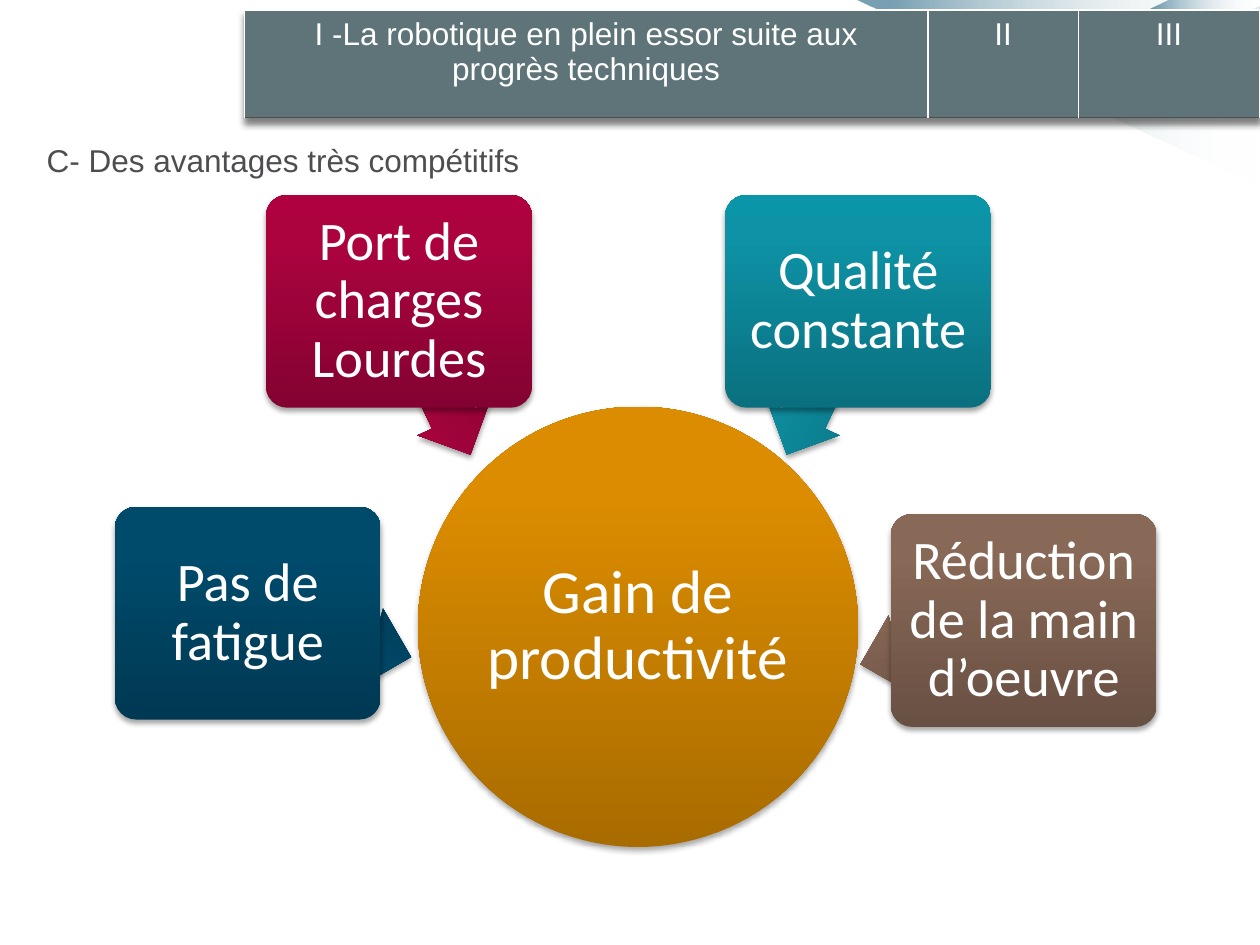
from math import cos, radians, sin

from lxml import etree
from pptx import Presentation
from pptx.dml.color import RGBColor
from pptx.enum.shapes import MSO_SHAPE
from pptx.enum.text import MSO_ANCHOR, PP_ALIGN
from pptx.oxml.ns import qn
from pptx.util import Pt

ROUNDED = MSO_SHAPE.ROUNDED_RECTANGLE
ARROW = MSO_SHAPE.LEFT_ARROW
OVAL = MSO_SHAPE.OVAL
TRIANGLE = MSO_SHAPE.ISOSCELES_TRIANGLE
CENTER = PP_ALIGN.CENTER
MIDDLE = MSO_ANCHOR.MIDDLE


def add_color(parent, color, opacity=100):
    node = etree.SubElement(parent, qn("a:srgbClr"), val=color)
    if opacity < 100:
        etree.SubElement(node, qn("a:alpha"), val=str(opacity * 1000))


def paint(shape, stops, angle, shadow=True):
    shape.fill.gradient()
    shape.fill.gradient_angle = angle
    shape.line.fill.background()
    shape.shadow.inherit = False
    properties = shape._element.spPr
    stop_list = properties.find(qn("a:gradFill")).find(qn("a:gsLst"))
    for old_stop in list(stop_list):
        stop_list.remove(old_stop)
    for position, color, opacity in stops:
        stop = etree.SubElement(stop_list, qn("a:gs"), pos=str(position * 1000))
        add_color(stop, color, opacity)
    if shadow:
        effects = properties.find(qn("a:effectLst"))
        outer = etree.SubElement(effects, qn("a:outerShdw"), blurRad=str(Pt(3.1)),
                                 dist=str(Pt(1.8)), dir="5400000", rotWithShape="0")
        add_color(outer, "000000", 35)


deck = Presentation()
deck.slide_width, deck.slide_height = Pt(720), Pt(540)
slide = deck.slides.add_slide(deck.slide_layouts[6])
shapes = slide.shapes

rays = [
    ([(720, 106), (489, 0), (720, 0)], 53),
    ([(720, 43), (648, 10), (669, 0), (720, 0)], 63),
]
for corners, opacity in rays:
    outline = shapes.build_freeform(*corners[0], scale=Pt(1))
    outline.add_line_segments(corners[1:], close=True)
    paint(outline.convert_to_shape(), [(1, "FFFFFF", 0), (91, "004D6F", opacity)], 180, False)

corner_ray = shapes.add_shape(TRIANGLE, Pt(669), Pt(0.7), Pt(49), Pt(54))
corner_ray.rotation = 270
paint(corner_ray, [(27, "FFFFFF", 0), (81, "004D6F", 48)], 225, False)

CARD_W, CARD_H = 152, 121.6
ARROW_W, ARROW_H = 96.6, 45.4

gain = shapes.add_shape(OVAL, Pt(238.8), Pt(232.4), Pt(251.6), Pt(251.6))
paint(gain, [(0, "A96C00", 100), (80, "DB8C00", 100), (100, "DC8D00", 100)], 90)
bubbles = [(gain, "Gain de productivité", 35)]

advantages = [
    ("Pas de fatigue", 65.6, 289.6, 195, ("003953", "004B6C", "004B6C")),
    ("Port de charges Lourdes", 152, 111.4, 245, ("840231", "AC033F", "AF003F")),
    ("Qualité constante", 414.4, 111.4, 295, ("0A707F", "0E92A5", "0B95A8")),
    ("Réduction de la main d’oeuvre", 509, 293.8, 345, ("685043", "886856", "896856")),
]
for label, left, top, rotation, colors in advantages:
    stops = [(position, color, 100) for position, color in zip((0, 80, 100), colors)]
    arrow_x = left + CARD_W / 2 - ARROW_W / 2 * cos(radians(rotation))
    arrow_y = top + CARD_H / 2 - ARROW_W / 2 * sin(radians(rotation))
    arrow = shapes.add_shape(ARROW, Pt(arrow_x - ARROW_W / 2), Pt(arrow_y - ARROW_H / 2),
                             Pt(ARROW_W), Pt(ARROW_H))
    arrow.adjustments[0], arrow.adjustments[1] = 0.6, 0.5
    arrow.rotation = rotation
    paint(arrow, stops, 90)
    card = shapes.add_shape(ROUNDED, Pt(left), Pt(top), Pt(CARD_W), Pt(CARD_H))
    card.adjustments[0] = 0.1
    paint(card, stops, 90)
    bubbles.append((card, label, 31))

for bubble, label, size in bubbles:
    frame = bubble.text_frame
    frame.text = label
    frame.word_wrap = True
    frame.vertical_anchor = MIDDLE
    frame.margin_left = frame.margin_right = Pt(2)
    frame.margin_top = frame.margin_bottom = Pt(2)
    paragraph = frame.paragraphs[0]
    paragraph.alignment = CENTER
    paragraph.line_spacing = 0.9
    font = paragraph.runs[0].font
    font.name, font.size = "Calibri", Pt(size)
    font.color.rgb = RGBColor.from_string("FFFFFF")

chapters = [
    ("I -La robotique en plein essor suite aux progrès techniques", 390.6),
    ("II", 86),
    ("III", 103.8),
]
outline_frame = shapes.add_table(1, len(chapters), Pt(139.6), Pt(5.8), Pt(580.4), Pt(61.4))
outline_table = outline_frame.table
for column, (chapter, width) in enumerate(chapters):
    outline_table.columns[column].width = Pt(width)
    cell = outline_table.cell(0, column)
    cell.text = chapter
    paragraph = cell.text_frame.paragraphs[0]
    paragraph.alignment = CENTER
    font = paragraph.runs[0].font
    font.name, font.size, font.bold = "Arial", Pt(18), False
    font.color.rgb = RGBColor.from_string("FFFFFF")
    borders = cell._tc.get_or_add_tcPr()
    for side, color in (("L", "FFFFFF"), ("R", "FFFFFF"), ("T", "FFFFFF"), ("B", "4F4D50")):
        border = etree.SubElement(borders, qn("a:ln" + side), w=str(Pt(1)))
        add_color(etree.SubElement(border, qn("a:solidFill")), color)
    cell.fill.solid()
    cell.fill.fore_color.rgb = RGBColor.from_string("5E7478")

table_effects = etree.Element(qn("a:effectLst"))
table_shadow = etree.SubElement(table_effects, qn("a:outerShdw"), blurRad=str(Pt(4)),
                                dist=str(Pt(3)), dir="5400000", rotWithShape="0")
add_color(table_shadow, "000000", 50)
outline_table._tbl.tblPr.insert(0, table_effects)

heading = shapes.add_textbox(Pt(19.6), Pt(77), Pt(572.4), Pt(28.8))
heading.text_frame.word_wrap = True
heading.text_frame.text = "C- Des avantages très compétitifs"
font = heading.text_frame.paragraphs[0].runs[0].font
font.name, font.size = "Arial", Pt(18)
font.color.rgb = RGBColor.from_string("4F4D50")

deck.save("out.pptx")
